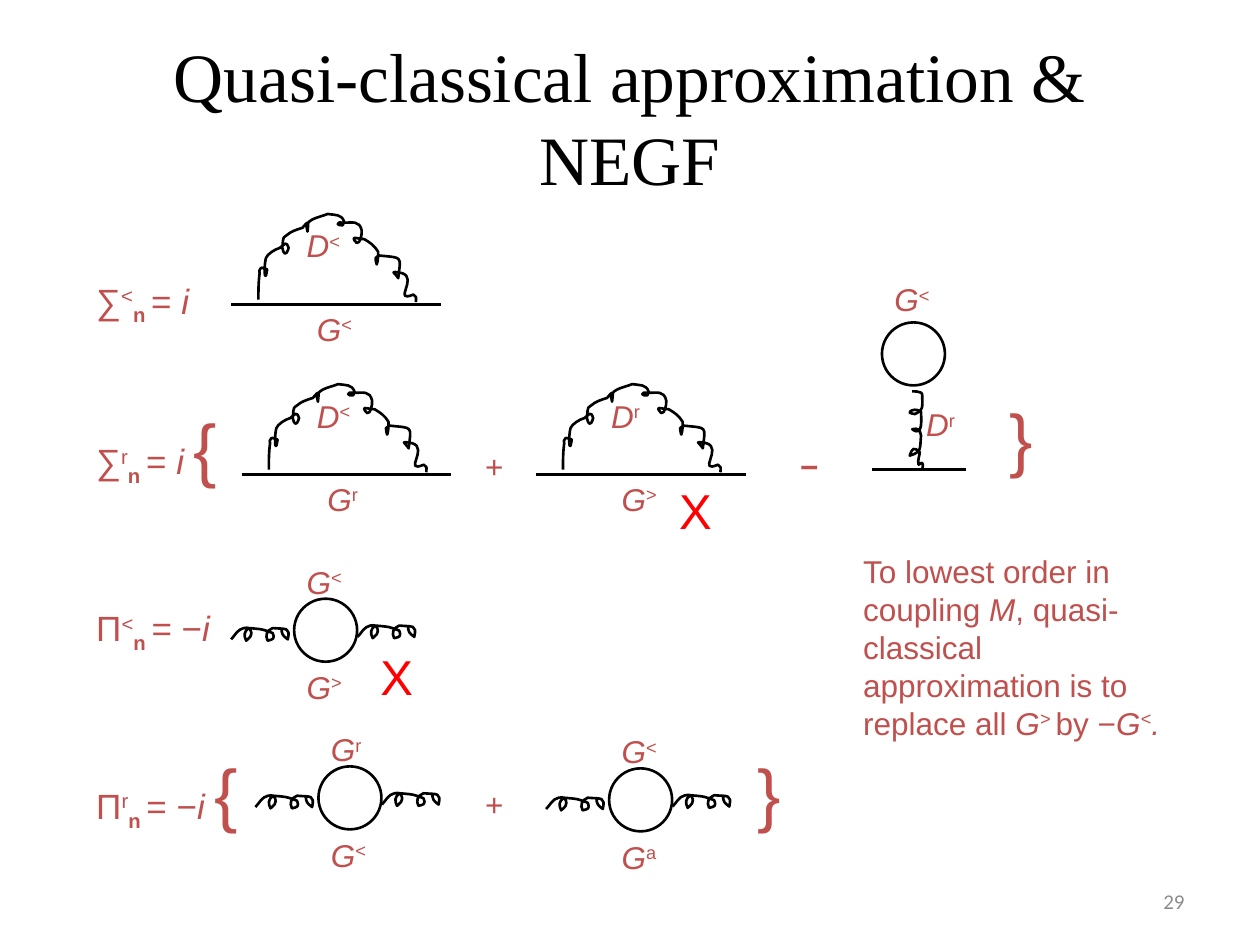
from dataclasses import dataclass

from lxml import etree
from pptx import Presentation
from pptx import util as u
from pptx.dml.color import RGBColor
from pptx.enum import shapes, text
from pptx.oxml.ns import qn


@dataclass(frozen=True)
class Theme:
    ink: str = "000000"
    accent: str = "C0504D"
    alert: str = "FF0000"
    muted: str = "8C8C8C"
    body_font: str = "Arial"
    title_font: str = "Times New Roman"
    number_font: str = "Calibri"
    title: float = 39.6
    brace: float = 40
    cross: float = 28
    formula: float = 20
    label: float = 18
    number: float = 12
    stroke: float = 1.5


# Bezier segments (two controls and an end), in 0.01 inch from the curve's start
CURVE_UNIT = 2.54 / 100
ARCH = [
    (0, -7, 0, -14, 1, -21), (1, -22, 0, -24, 2, -25), (3, -26, 5, -24, 7, -24),
    (6, -22, 7, -20, 6, -19), (5, -18, 5, -21, 5, -22), (5, -26, 5, -29, 6, -33),
    (7, -36, 13, -40, 17, -41), (21, -44, 22, -47, 24, -41), (22, -34, 20, -36, 19, -41),
    (20, -52, 19, -48, 25, -53), (28, -55, 35, -57, 35, -57), (40, -63, 40, -63, 39, -54),
    (35, -64, 48, -65, 55, -68), (61, -67, 66, -68, 68, -62), (67, -61, 68, -60, 67, -59),
    (65, -59, 63, -59, 63, -60), (63, -62, 65, -61, 67, -61), (75, -61, 80, -63, 82, -55),
    (82, -53, 82, -50, 81, -48), (81, -46, 79, -45, 78, -45), (77, -46, 75, -48, 76, -49),
    (78, -49, 81, -48, 84, -48), (89, -45, 92, -43, 95, -38), (95, -35, 95, -31, 94, -28),
    (94, -27, 93, -31, 93, -33), (93, -34, 95, -34, 96, -35), (115, -33, 113, -35, 111, -17),
    (108, -22, 103, -23, 114, -21), (127, -17, 106, 3, 123, -4), (126, -1, 125, -3, 125, 2),
]
COIL = [
    (3, -3, 5, -8, 10, -9), (11, -9, 14, -10, 15, -8), (18, -3, 14, -1, 12, 1),
    (10, -3, 10, -6, 14, -9), (26, -8, 25, -8, 33, -5), (35, 0, 33, 0, 29, 1),
    (27, -3, 28, -7, 33, -9), (44, -8, 47, -10, 45, 0), (41, -3, 40, -4, 40, -9),
]
DROP = [
    (3, 0, 5, 0, 7, 1), (8, 1, 8, 3, 8, 4), (8, 13, 9, 15, 2, 18),
    (0, 17, -1, 18, -2, 17), (-2, 16, -1, 15, 0, 15), (3, 14, 5, 15, 7, 16),
    (7, 21, 9, 37, 0, 30), (5, 29, 6, 30, 7, 35), (6, 45, 8, 48, -2, 51),
    (0, 45, 1, 44, 6, 48), (6, 51, 4, 55, 5, 58), (5, 59, 7, 56, 8, 57),
    (9, 58, 8, 61, 8, 62),
]


class DiagramSlide:
    """Draws on one slide; all lengths are in centimetres."""

    def __init__(self, slide, theme):
        self.slide = slide
        self.theme = theme

    def outline(self, shape):
        shape.line.color.rgb = RGBColor.from_string(self.theme.ink)
        shape.line.width = u.Pt(self.theme.stroke)

    def text(self, left, top, width, height, runs, size, color=None, font=None,
             align=text.PP_ALIGN.LEFT, anchor=text.MSO_ANCHOR.TOP, wrap=True):
        """Add a box of (text, style) runs; styles are i, b, sup, sub and brace."""
        shape = self.slide.shapes.add_textbox(u.Cm(left), u.Cm(top), u.Cm(width), u.Cm(height))
        frame = shape.text_frame
        frame.word_wrap = wrap
        frame.vertical_anchor = anchor
        paragraph = frame.paragraphs[0]
        paragraph.alignment = align
        for content, style in runs:
            run = paragraph.add_run()
            run.text = content
            marks = style.split()
            run.font.name = font or self.theme.body_font
            run.font.size = u.Pt(self.theme.brace if "brace" in marks else size)
            run.font.color.rgb = RGBColor.from_string(color or self.theme.accent)
            run.font.italic = "i" in marks
            run.font.bold = "b" in marks
            for mark, baseline in (("sup", "30000"), ("sub", "-25000")):
                if mark in marks:
                    run.font._element.set("baseline", baseline)

    def label(self, left, top, name, index):
        self.text(left, top, 1.27, 1.02, [(name, "i"), (index, "sup")], self.theme.label)

    def formula(self, top, symbol, index, sign, opening=False, width=3.18):
        runs = [(symbol, ""), (index, "sup"), ("n ", "sub b"), (sign, "")]
        runs += [("i ", "i"), ("{", "brace")] if opening else [("i", "i")]
        self.text(1.69, top, width, 1.96 if opening else 1.09, runs, self.theme.formula)

    def operator(self, left, top, sign, style="", width=0.85):
        self.text(left, top, width, 1.02, [(sign, style)], self.theme.label)

    def closing_brace(self, left, top):
        self.text(left, top, 1.06, 1.96, [("}", "")], self.theme.brace)

    def cross(self, left, top):
        self.text(left, top, 1.16, 1.45, [("Χ", "")], self.theme.cross,
                  self.theme.alert, wrap=False)

    def rail(self, left, top, length):
        line = self.slide.shapes.add_connector(
            shapes.MSO_CONNECTOR.STRAIGHT, u.Cm(left), u.Cm(top), u.Cm(left + length), u.Cm(top))
        self.outline(line)
        etree.SubElement(line._element.spPr, qn("a:effectLst"))

    def circle(self, left, top):
        shape = self.slide.shapes.add_shape(
            shapes.MSO_SHAPE.OVAL, u.Cm(left), u.Cm(top), u.Cm(1.27), u.Cm(1.27))
        shape.shadow.inherit = False
        shape.fill.background()
        self.outline(shape)

    def curve(self, left, top, segments):
        """Lay out the control points as lines, then join each three into a Bezier."""
        builder = self.slide.shapes.build_freeform(u.Cm(left), u.Cm(top))
        builder.add_line_segments(
            [(u.Cm(left + x * CURVE_UNIT), u.Cm(top + y * CURVE_UNIT))
             for segment in segments for x, y in zip(segment[::2], segment[1::2])], close=False)
        shape = builder.convert_to_shape()
        lines = list(shape._element.iter(qn("a:lnTo")))
        for first, second, third in zip(lines[::3], lines[1::3], lines[2::3]):
            first.addprevious(bezier := etree.Element(qn("a:cubicBezTo")))
            for line in (first, second, third):
                bezier.append(line[0])
                line.getparent().remove(line)
        shape.shadow.inherit = False
        shape.fill.background()
        self.outline(shape)

    def self_energy(self, left, top, upper, lower):
        """Add a phonon arch over an electron rail that starts at left, top."""
        self.rail(left, top, 4.23)
        self.curve(left + 0.55, top - 0.1, ARCH)
        self.label(left + 1.48, top - 0.02, "G", lower)
        self.label(left + 1.27, top - 1.7, "D", upper)

    def bubble(self, left, top, upper, lower):
        """Add an electron loop with a phonon coil on each side."""
        self.circle(left, top)
        self.curve(left + 1.28, top + 0.77, COIL)
        self.curve(left - 1.27, top + 0.82, COIL)
        self.label(left, top - 0.85, "G", upper)
        self.label(left, top + 1.27, "G", lower)

    def tadpole(self, left, top):
        self.circle(left, top)
        self.rail(left - 0.2, top + 2.97, 1.9)
        self.curve(left + 0.61, top + 1.39, DROP)
        self.label(left + 0.64, top + 1.55, "D", "r")
        self.label(left, top - 0.97, "G", "<")


def main():
    presentation = Presentation()
    presentation.slide_width, presentation.slide_height = u.Cm(25.4), u.Cm(19.05)
    theme = Theme()
    diagram = DiagramSlide(presentation.slides.add_slide(presentation.slide_layouts[6]), theme)

    diagram.text(1.27, 0.76, 22.86, 3.18, [("Quasi-classical approximation & NEGF", "")],
                 theme.title, theme.ink, theme.title_font,
                 text.PP_ALIGN.CENTER, text.MSO_ANCHOR.MIDDLE)

    diagram.formula(5.5, "∑", "<", "= ")
    diagram.self_energy(4.66, 6.14, "<", "<")

    diagram.formula(8.04, "∑", "r", "= ", opening=True)
    diagram.self_energy(4.87, 9.57, "<", "r")
    diagram.operator(9.53, 8.89, "+")
    diagram.self_energy(10.8, 9.57, "r", ">")
    diagram.operator(15.88, 8.89, "−", "b", 1.27)
    diagram.tadpole(17.78, 6.5)
    diagram.closing_brace(20.11, 7.83)
    diagram.cross(13.44, 9.57)

    diagram.formula(12.11, "Π", "<", "= −")
    diagram.bubble(5.93, 12.07, "<", ">")
    diagram.cross(7.42, 12.91)

    diagram.formula(14.98, "Π", "r", "= −", opening=True, width=4.02)
    diagram.bubble(6.42, 15.45, "r", "<")
    diagram.operator(9.53, 15.7, "+")
    diagram.bubble(12.28, 15.49, "<", "a")
    diagram.closing_brace(15.03, 14.98)

    diagram.text(17.15, 11.01, 6.56, 4.83, [
        ("To lowest order in coupling ", ""), ("M", "i"),
        (", quasi-classical approximation is to replace all ", ""),
        ("G", "i"), ("> ", "i sup"), ("by −", ""), ("G", "i"), ("<", "i sup"), (".", "i"),
    ], theme.label)
    diagram.text(18.2, 17.66, 5.93, 1.01, [("29", "")], theme.number, theme.muted,
                 theme.number_font, text.PP_ALIGN.RIGHT, text.MSO_ANCHOR.MIDDLE)
    presentation.save("out.pptx")


if __name__ == "__main__":
    main()
